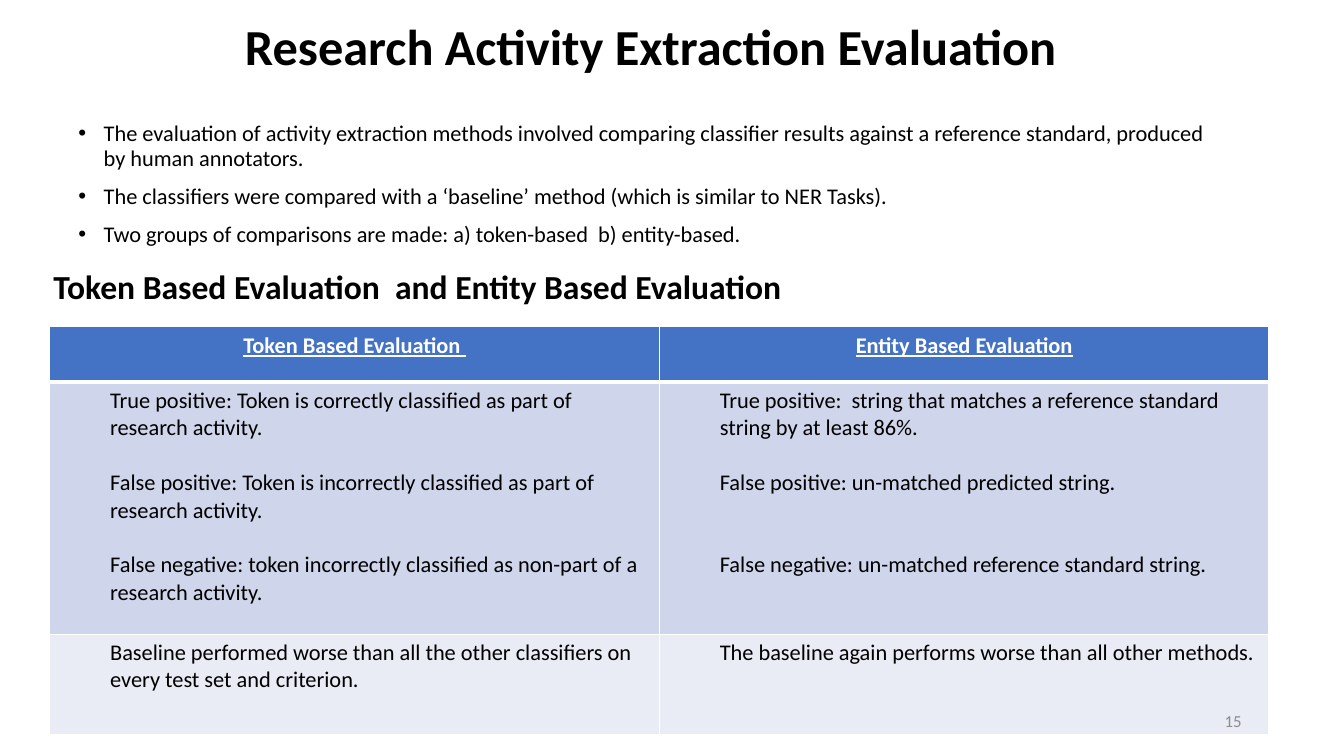
from lxml import etree
from pptx import Presentation
from pptx.dml.color import RGBColor
from pptx.enum.text import MSO_ANCHOR, PP_ALIGN
from pptx.oxml.ns import qn
from pptx.util import Pt

CENTER, LEFT, RIGHT = PP_ALIGN.CENTER, PP_ALIGN.LEFT, PP_ALIGN.RIGHT
TOP, MIDDLE = MSO_ANCHOR.TOP, MSO_ANCHOR.MIDDLE
TITLE_ONLY = 5
FONT = "Calibri"
LINE = 19.5
COLORS = {
    "text": "000000",
    "white": "FFFFFF",
    "header": "4472C4",
    "measures": "CFD5EA",
    "outcome": "E9EBF5",
    "number": "8C8C8C",
}
FINDINGS = [
    "The evaluation of activity extraction methods involved comparing classifier results "
    "against a reference standard, produced by human annotators.",
    "The classifiers were compared with a ‘baseline’ method (which is similar to NER Tasks).",
    "Two groups of comparisons are made: a) token-based  b) entity-based.",
]
HEADERS = ["Token Based Evaluation ", "Entity Based Evaluation"]
MEASURES = [
    [
        ("True positive: Token is correctly classified as part of research activity.", LINE),
        ("False positive: Token is incorrectly classified as part of research activity.", LINE),
        ("False negative: token incorrectly classified as non-part of a research activity.", 0),
    ],
    [
        ("True positive:  string that matches a reference standard string by at least 86%.", LINE),
        ("False positive: un-matched predicted string.", 2 * LINE),
        ("False negative: un-matched reference standard string.", 0),
    ],
]
OUTCOMES = [
    "Baseline performed worse than all the other classifiers on every test set and criterion.",
    "The baseline again performs worse than all other methods.",
]
ROW_HEIGHTS = [39.5, 180, 71.5]


def style(paragraph, size, color="text", align=LEFT, bold=False):
    """Set the font and alignment of a paragraph."""
    paragraph.alignment = align
    font = paragraph.font
    font.name, font.size, font.bold = FONT, Pt(size), bold
    font.color.rgb = RGBColor.from_string(COLORS[color])


def place(shape, left, top, width, height):
    """Move and size a shape, in points."""
    shape.left, shape.top = Pt(left), Pt(top)
    shape.width, shape.height = Pt(width), Pt(height)


def fill_paragraphs(frame, texts):
    """Write one paragraph per text and return the paragraphs."""
    frame.text = "\n".join(texts)
    return frame.paragraphs


def add_text(slide, box, texts, anchor=TOP):
    """Add a wrapping text box and return its paragraphs."""
    frame = slide.shapes.add_textbox(*map(Pt, box)).text_frame
    frame.word_wrap = True
    frame.vertical_anchor = anchor
    return fill_paragraphs(frame, texts)


def add_title(slide, text):
    """Place and format the title placeholder."""
    title = slide.shapes.title
    place(title, 35.5, 4.5, 859, 61)
    title.text_frame.vertical_anchor = MIDDLE
    paragraph = fill_paragraphs(title.text_frame, [text])[0]
    paragraph.line_spacing = 0.9
    style(paragraph, 36, align=CENTER, bold=True)


def add_bullets(slide, box, texts):
    """Add a bulleted list with hanging indents."""
    for paragraph in add_text(slide, box, texts):
        style(paragraph, 16)
        paragraph.line_spacing = 0.9
        paragraph.space_before = Pt(10)
        properties = paragraph._p.get_or_add_pPr()
        properties.set("marL", str(Pt(18)))
        properties.set("indent", str(Pt(-18)))
        etree.SubElement(properties, qn("a:buFont"), typeface="Arial")
        etree.SubElement(properties, qn("a:buChar"), char="•")


def format_cell(cell, fill, bottom=1, top=1):
    """Give a cell white borders and a solid fill."""
    properties = cell._tc.get_or_add_tcPr()
    for side, width in (("L", 1), ("R", 1), ("T", top), ("B", bottom)):
        border = etree.SubElement(properties, qn(f"a:ln{side}"), w=str(Pt(width)))
        solid = etree.SubElement(border, qn("a:solidFill"))
        etree.SubElement(solid, qn("a:srgbClr"), val=COLORS["white"])
    cell.fill.solid()
    cell.fill.fore_color.rgb = RGBColor.from_string(COLORS[fill])


def write_indented(cell, entries):
    """Write indented entries, each with its space after."""
    paragraphs = fill_paragraphs(cell.text_frame, [text for text, _ in entries])
    for paragraph, (_, gap) in zip(paragraphs, entries):
        style(paragraph, 16)
        paragraph.level = 1
        paragraph.space_after = Pt(gap)
        properties = paragraph._p.get_or_add_pPr()
        properties.set("marL", str(Pt(36)))
        properties.set("indent", "0")


def add_comparison(slide):
    """Add the table comparing both kinds of evaluation."""
    box = (35.5, 233.5, 871, sum(ROW_HEIGHTS))
    table = slide.shapes.add_table(3, 2, *map(Pt, box)).table
    for row, height in zip(table.rows, ROW_HEIGHTS):
        row.height = Pt(height)
    for column, header in enumerate(HEADERS):
        heading, measures, outcome = (table.cell(row, column) for row in range(3))
        format_cell(heading, "header", bottom=3)
        format_cell(measures, "measures", top=3)
        format_cell(outcome, "outcome")
        paragraph = fill_paragraphs(heading.text_frame, [header])[0]
        style(paragraph, 16, "white", CENTER, bold=True)
        paragraph.font.underline = True
        write_indented(measures, MEASURES[column])
        write_indented(outcome, [(OUTCOMES[column], 0)])


def main():
    """Build the slide and save it."""
    presentation = Presentation()
    presentation.slide_width, presentation.slide_height = Pt(960), Pt(540)
    slide = presentation.slides.add_slide(presentation.slide_layouts[TITLE_ONLY])
    add_title(slide, "Research Activity Extraction Evaluation")
    add_bullets(slide, (49, 84, 828, 98), FINDINGS)
    subtitle = add_text(slide, (31, 186.5, 811, 36.5),
                        ["Token Based Evaluation  and Entity Based Evaluation"])[0]
    style(subtitle, 24, bold=True)
    add_comparison(slide)
    page_number = add_text(slide, (678, 500.5, 216, 29), ["15"], MIDDLE)[0]
    style(page_number, 12, "number", RIGHT)
    presentation.save("out.pptx")


if __name__ == "__main__":
    main()
